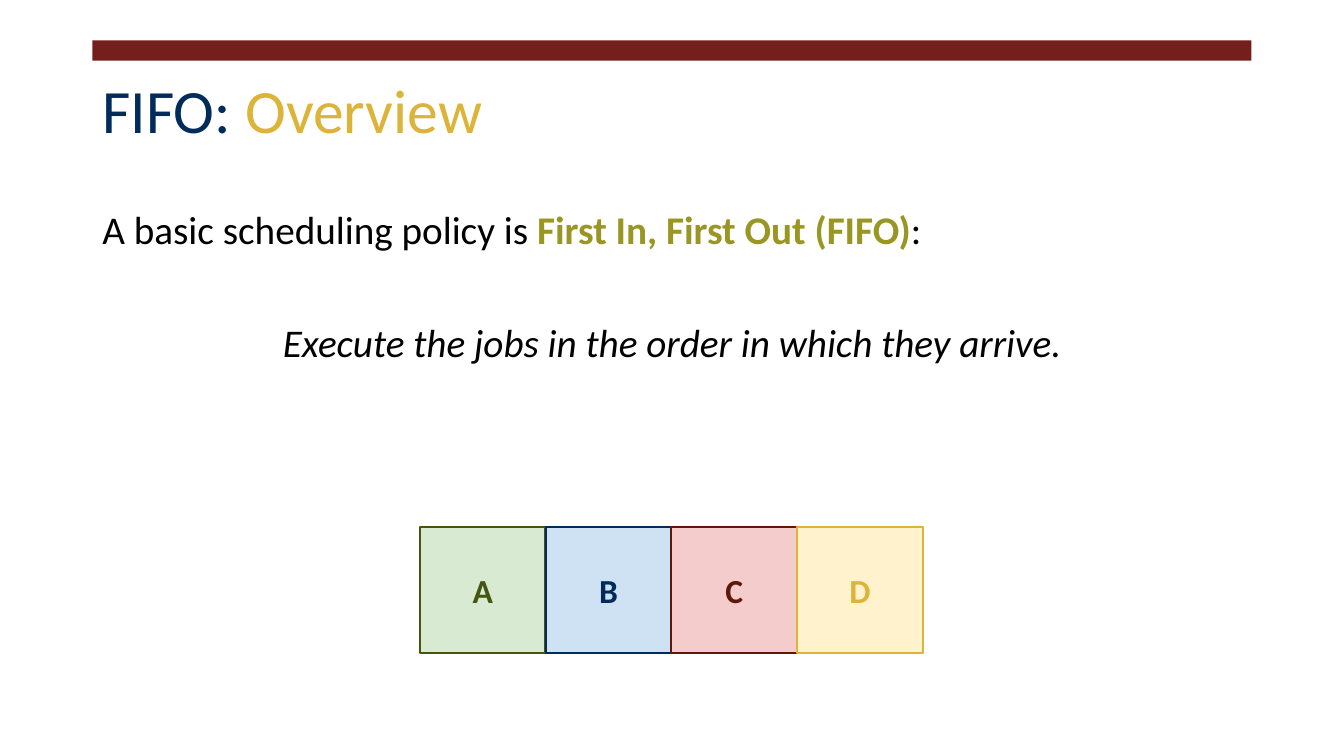
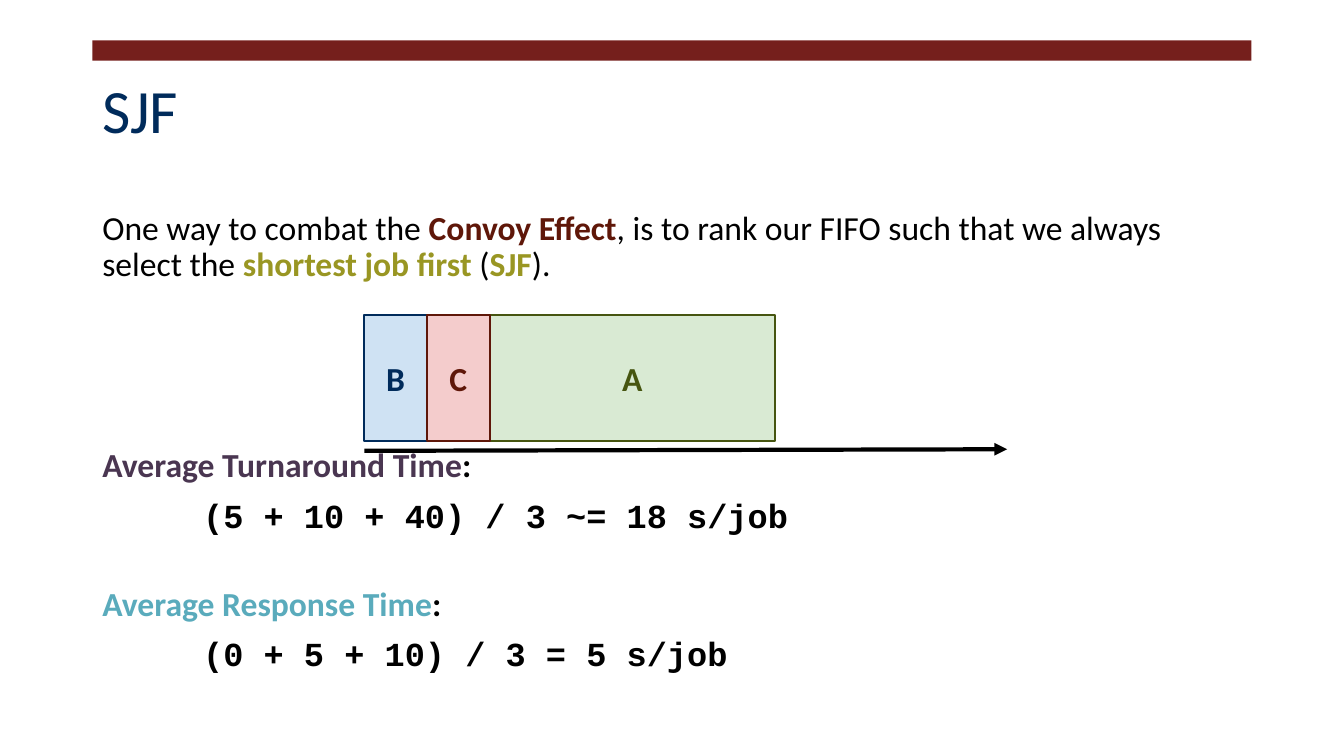
"""Build two slides on the FIFO and SJF scheduling policies."""
from itertools import accumulate

from lxml import etree
from pptx import Presentation
from pptx.dml.color import RGBColor
from pptx.enum.shapes import MSO_CONNECTOR, MSO_SHAPE
from pptx.enum.text import MSO_ANCHOR, MSO_AUTO_SIZE, PP_ALIGN
from pptx.oxml.ns import qn
from pptx.util import Cm, Pt

LEFT, CENTER = PP_ALIGN.LEFT, PP_ALIGN.CENTER
TOP, MIDDLE = MSO_ANCHOR.TOP, MSO_ANCHOR.MIDDLE
RECTANGLE, STRAIGHT = MSO_SHAPE.RECTANGLE, MSO_CONNECTOR.STRAIGHT
NO_AUTOFIT = MSO_AUTO_SIZE.NONE

SANS, MONO = "Calibri", "Courier New"
COLORS = {
    "black": "000000", "band": "751F1C", "navy": "002B5B", "gold": "DCB439",
    "olive": "999623", "maroon": "5F1709", "green": "465510",
    "purple": "4A3651", "teal": "5AABBC", "pale green": "D9EAD3",
    "pale blue": "CFE2F3", "pale red": "F4CCCC", "pale gold": "FFF2CC",
}
JOB_COLORS = {
    "A": ("pale green", "green"), "B": ("pale blue", "navy"),
    "C": ("pale red", "maroon"), "D": ("pale gold", "gold"),
}
MARGIN, CONTENT_WIDTH = 2.33, 29.21
BAND_TOP, BAND_HEIGHT, TITLE_HEIGHT = 1.02, 0.51, 3.68
BODY_TOP, BODY_HEIGHT = 5.07, 13.59
JOB_HEIGHT, INSET, FORMULA_INDENT = 3.17, 0.25, 2.54

SLIDES = [
    {
        "title": [("FIFO: ", "navy"), ("Overview", "gold")],
        "size": 28,
        "body": [
            {"spans": [("A basic scheduling policy is ", "black"),
                       ("First In, First Out (FIFO)", "olive", "bold"),
                       (":", "black")]},
            {"spans": [("Execute the jobs in the order in which they arrive.",
                        "black", "italic")],
             "before": 50, "align": CENTER},
        ],
        "jobs": {"at": (10.58, 13.28),
                 "widths": [("A", 3.17), ("B", 3.17), ("C", 3.17), ("D", 3.17)]},
    },
    {
        "title": [("SJF", "navy")],
        "size": 24,
        "body": [
            {"spans": [("One way to combat the ", "black"),
                       ("Convoy Effect", "maroon", "bold"),
                       (", is to rank our FIFO such that we always select the ", "black"),
                       ("shortest job first", "olive", "bold"),
                       (" (", "black"), ("SJF", "olive", "bold"), (").", "black")]},
            {"spans": [("Average Turnaround Time", "purple", "bold"),
                       (":", "black", "bold")], "before": 118},
            {"spans": [("(5 + 10 + 40) / 3 ~= 18 s/job", "black", "bold")],
             "before": 10, "font": MONO, "indent": FORMULA_INDENT},
            {"spans": [("Average Response Time", "teal", "bold"),
                       (":", "black", "bold")], "before": 37},
            {"spans": [("(0 + 5 + 10) / 3 = 5 s/job", "black", "bold")],
             "before": 10, "font": MONO, "indent": FORMULA_INDENT},
        ],
        "jobs": {"at": (9.18, 7.94),
                 "widths": [("B", 1.58), ("C", 1.58), ("A", 7.19)]},
        "time_axis": (9.18, 11.36, 25.38, 11.32),
    },
]


def color(name):
    return RGBColor.from_string(COLORS[name])


def set_frame(frame, anchor):
    frame.word_wrap = True
    frame.auto_size = NO_AUTOFIT
    frame.vertical_anchor = anchor
    frame.margin_left = frame.margin_right = Cm(INSET)
    frame.margin_top = frame.margin_bottom = Cm(INSET)


def write_spans(para, spans, size, font=SANS, align=LEFT, spacing=0.9):
    para.alignment = align
    para.line_spacing = spacing
    for text, color_name, *emphasis in spans:
        span = para.add_run()
        span.text = text
        span.font.name = font
        span.font.size = Pt(size)
        span.font.bold = "bold" in emphasis
        span.font.italic = "italic" in emphasis
        span.font.color.rgb = color(color_name)


def add_rectangle(page, left, top, width, height, fill, line=None):
    box = page.shapes.add_shape(RECTANGLE, Cm(left), Cm(top), Cm(width), Cm(height))
    box.shadow.inherit = False
    box.fill.solid()
    box.fill.fore_color.rgb = color(fill)
    if line:
        box.line.color.rgb = color(line)
        box.line.width = Pt(1.5)
    else:
        box.line.fill.background()
    return box


def add_heading(page, spans):
    add_rectangle(page, MARGIN, BAND_TOP, CONTENT_WIDTH, BAND_HEIGHT, "band")
    title = page.shapes.title
    title.left, title.top = Cm(MARGIN), Cm(BAND_TOP)
    title.width, title.height = Cm(CONTENT_WIDTH), Cm(TITLE_HEIGHT)
    set_frame(title.text_frame, MIDDLE)
    write_spans(title.text_frame.paragraphs[0], spans, 44)


def add_body(page, paragraphs, size):
    box = page.shapes.add_textbox(
        Cm(MARGIN), Cm(BODY_TOP), Cm(CONTENT_WIDTH), Cm(BODY_HEIGHT))
    frame = box.text_frame
    set_frame(frame, TOP)
    for index, item in enumerate(paragraphs):
        para = frame.add_paragraph() if index else frame.paragraphs[0]
        if "indent" in item:
            para._p.get_or_add_pPr().set("marL", str(Cm(item["indent"])))
        para.space_before = Pt(item.get("before", 0))
        write_spans(para, item["spans"], size,
                    item.get("font", SANS), item.get("align", LEFT))


def add_jobs(page, at, widths):
    left, top = at
    starts = accumulate((width for _, width in widths), initial=left)
    placed = [(name, start, width) for (name, width), start in zip(widths, starts)]
    for name, start, width in sorted(placed):
        fill, ink = JOB_COLORS[name]
        box = add_rectangle(page, start, top, width, JOB_HEIGHT, fill, ink)
        set_frame(box.text_frame, MIDDLE)
        write_spans(box.text_frame.paragraphs[0], [(name, ink, "bold")], 24,
                    align=CENTER, spacing=1.0)


def add_time_axis(page, ends):
    axis = page.shapes.add_connector(STRAIGHT, *(Cm(end) for end in ends))
    axis.line.color.rgb = color("black")
    axis.line.width = Pt(3)
    etree.SubElement(axis.line._get_or_add_ln(), qn("a:tailEnd"), type="triangle")
    etree.SubElement(axis._element.spPr, qn("a:effectLst"))


def main():
    deck = Presentation()
    deck.slide_width, deck.slide_height = Cm(33.87), Cm(19.05)
    title_only = deck.slide_layouts[5]
    for content in SLIDES:
        page = deck.slides.add_slide(title_only)
        add_heading(page, content["title"])
        add_body(page, content["body"], content["size"])
        if "time_axis" in content:
            add_time_axis(page, content["time_axis"])
        add_jobs(page, **content["jobs"])
    deck.save("out.pptx")


if __name__ == "__main__":
    main()
